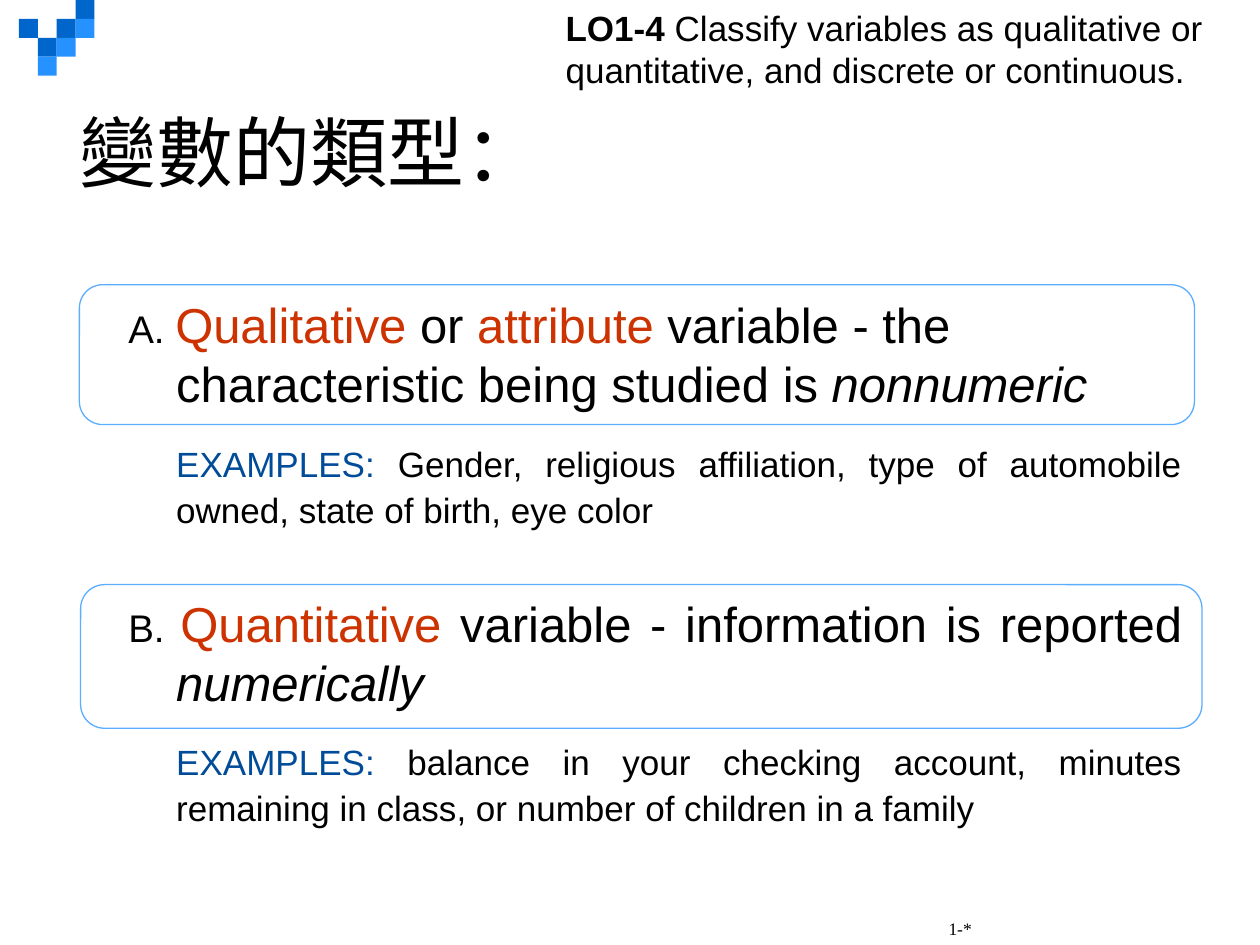
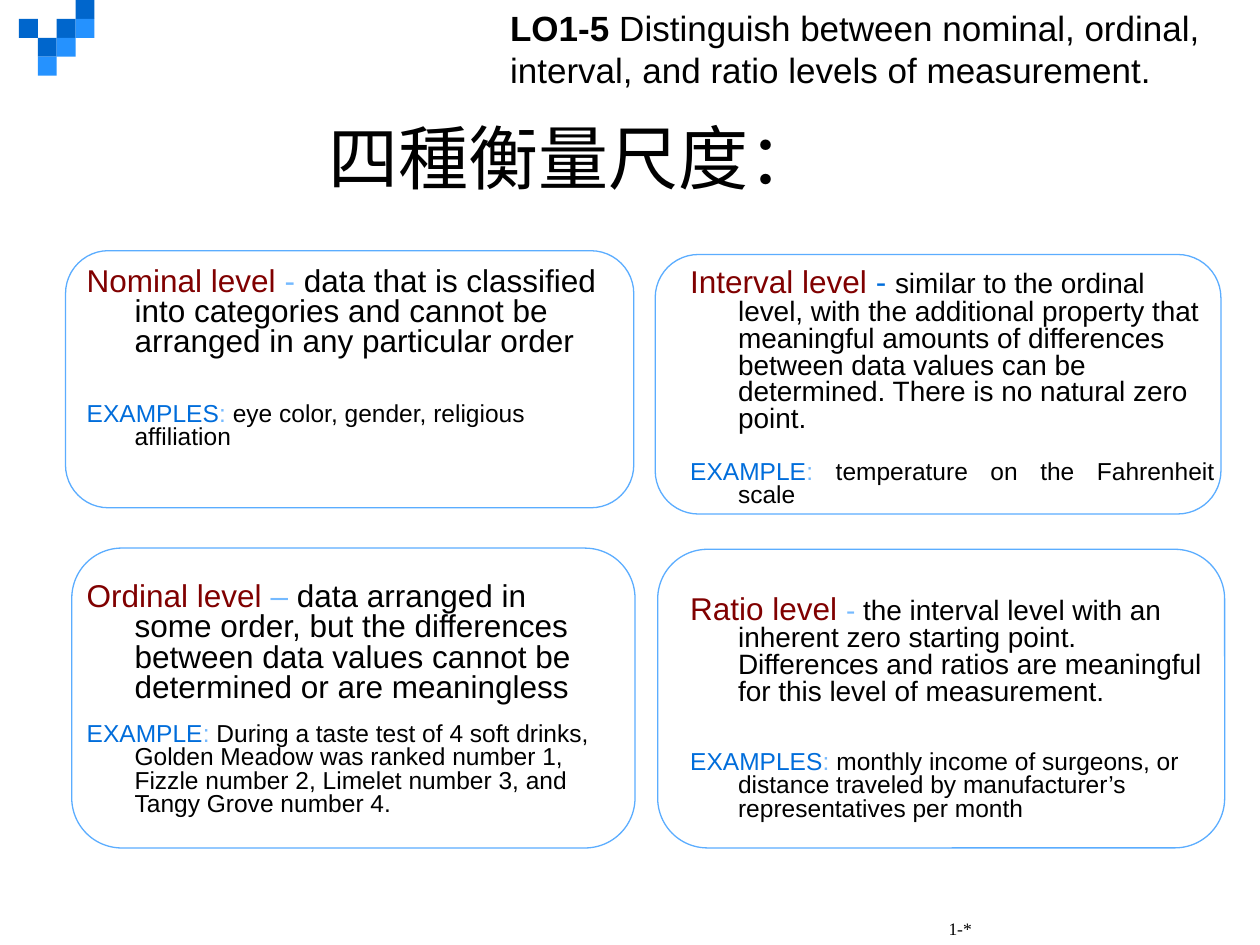
from dataclasses import dataclass

from pptx import Presentation
from pptx.dml.color import RGBColor
from pptx.enum.shapes import MSO_SHAPE as Shape
from pptx.enum.text import MSO_ANCHOR as Anchor, PP_ALIGN as Align
from pptx.util import Inches, Pt

BLACK = RGBColor(0x00, 0x00, 0x00)
WHITE = RGBColor(0xFF, 0xFF, 0xFF)
DARK_BLUE = RGBColor(0x00, 0x66, 0xCC)
BRIGHT_BLUE = RGBColor(0x25, 0x92, 0xFF)
OUTLINE_BLUE = RGBColor(0x5B, 0xAD, 0xFF)
PALE_BLUE = RGBColor(0x75, 0xBA, 0xFF)
EXAMPLE_BLUE = RGBColor(0x00, 0x6D, 0xDB)
NAVY = RGBColor(0x00, 0x4C, 0x99)
ORANGE = RGBColor(0xCC, 0x33, 0x00)
MAROON = RGBColor(0x80, 0x00, 0x00)

BODY_FONT = "Arial"
FOOTER_FONT = "Times New Roman"
TILE = 0.15
HANG = 0.38


@dataclass(frozen=True)
class Area:
    left: float
    top: float
    width: float
    height: float

    def lengths(self) -> list:
        return [Inches(n) for n in (self.left, self.top, self.width, self.height)]


@dataclass(frozen=True)
class Span:
    text: str
    size: float
    color: RGBColor = BLACK
    bold: bool = False
    italic: bool = False
    font: str = BODY_FONT


@dataclass(frozen=True)
class Para:
    spans: list[Span]
    before: float = 0
    spacing: float = 1.0
    align: Align = Align.LEFT
    margin: float = 0
    indent: float = 0


@dataclass(frozen=True)
class Tile:
    column: int
    row: int
    color: RGBColor


TILES = [
    Tile(2, 1, DARK_BLUE), Tile(3, 0, DARK_BLUE), Tile(3, 1, BRIGHT_BLUE),
    Tile(1, 2, DARK_BLUE), Tile(0, 1, DARK_BLUE), Tile(2, 2, BRIGHT_BLUE),
    Tile(1, 3, BRIGHT_BLUE),
]


def apply(target, values: dict) -> None:
    for name, value in values.items():
        setattr(target, name, value)


def fill_text(frame, paras: list[Para], anchor: Anchor = Anchor.TOP) -> None:
    apply(frame, {"word_wrap": True, "vertical_anchor": anchor})
    for number, item in enumerate(paras):
        para = frame.add_paragraph() if number else frame.paragraphs[0]
        properties = para._p.get_or_add_pPr()
        properties.set("marL", str(Inches(item.margin)))
        properties.set("indent", str(Inches(item.indent)))
        apply(para, {"alignment": item.align, "line_spacing": item.spacing,
                     "space_before": Pt(item.before)})
        for span in item.spans:
            run = para.add_run()
            run.text = span.text
            apply(run.font, {"name": span.font, "size": Pt(span.size),
                             "bold": span.bold, "italic": span.italic})
            run.font.color.rgb = span.color


def add_text(page, area: Area, paras: list[Para], anchor: Anchor = Anchor.TOP) -> None:
    box = page.shapes.add_textbox(*area.lengths())
    fill_text(box.text_frame, paras, anchor)


def add_box(page, kind: Shape, area: Area, color: RGBColor):
    box = page.shapes.add_shape(kind, *area.lengths())
    box.shadow.inherit = False
    box.fill.solid()
    box.fill.fore_color.rgb = color
    box.line.fill.background()
    return box


def add_frame(page, area: Area) -> None:
    box = add_box(page, Shape.ROUNDED_RECTANGLE, area, WHITE)
    box.line.color.rgb = OUTLINE_BLUE
    box.line.width = Pt(0.75)


def add_objective(page, left: float, code: str, goal: str) -> None:
    box = add_box(page, Shape.RECTANGLE, Area(left, 0, 10 - left, 0.77), WHITE)
    fill_text(box.text_frame, [Para([Span(code, 20, bold=True), Span(goal, 20)])])


def add_page(deck, frames: list[Area]):
    page = deck.slides.add_slide(deck.slide_layouts[6])
    for tile in TILES:
        place = Area(TILE * (tile.column + 1), TILE * tile.row, TILE, TILE)
        add_box(page, Shape.RECTANGLE, place, tile.color)
    number = Para([Span("1-*", 10, font=FOOTER_FONT)])
    add_text(page, Area(7.43, 7.12, 2.4, 0.38), [number], Anchor.BOTTOM)
    for area in frames:
        add_frame(page, area)
    return page


def variable_para(spans: list[Span], before: float = 0, align: Align = Align.LEFT) -> Para:
    return Para(spans, before, align=align, margin=HANG, indent=-HANG)


def variable_example(label: str, text: str) -> Para:
    return Para([Span(label, 20, NAVY), Span(text, 20)], 14.5, 1.1,
                Align.JUSTIFY, HANG)


def level_para(spans: list[Span], before: float = 0, align: Align = Align.LEFT) -> Para:
    return Para(spans, before, 0.8, align, HANG, -HANG)


def level(name: str, dash: Span, text: str, size: float, before: float = 0) -> Para:
    return level_para([Span(name, 18, MAROON), dash, Span(text, size)], before)


def level_example(label: str, text: str, before: float, align: Align = Align.LEFT) -> Para:
    spans = [Span(label, 14, EXAMPLE_BLUE), Span(":", 14, PALE_BLUE), Span(text, 14)]
    return level_para(spans, before, align)


def build_variable_types(deck) -> None:
    page = add_page(deck, [Area(0.64, 4.64, 8.9, 1.14), Area(0.63, 2.26, 8.85, 1.11)])
    add_text(page, Area(0.53, 0.45, 9, 1.5),
             [Para([Span("變數的類型：", 44)])], Anchor.MIDDLE)
    add_text(page, Area(0.92, 2.29, 8.56, 4.78), [
        variable_para([
            Span("A. ", 22), Span("Qualitative", 28, ORANGE), Span(" or ", 28),
            Span("attribute", 28, ORANGE),
            Span(" variable - the characteristic being studied is ", 28),
            Span("nonnumeric", 28, italic=True),
        ]),
        variable_example("EXAMPLES:", " Gender, religious affiliation, type of "
                         "automobile owned, state of birth, eye color"),
        variable_para([
            Span("B. ", 22), Span("Quantitative", 28, ORANGE),
            Span(" variable - information is reported ", 28),
            Span("numerically", 28, italic=True),
        ], 36, Align.JUSTIFY),
        variable_example("EXAMPLES: ", "balance in your checking account, minutes "
                         "remaining in class, or number of children in a family"),
    ])
    add_objective(page, 4.39, "LO1-4", " Classify variables as qualitative or "
                  "quantitative, and discrete or continuous.")


def build_measurement_levels(deck) -> None:
    page = add_page(deck, [
        Area(5.22, 4.36, 4.5, 2.37), Area(5.2, 2.02, 4.49, 2.06),
        Area(0.57, 4.35, 4.47, 2.38), Area(0.52, 1.99, 4.51, 2.04),
    ])
    add_text(page, Area(0.5, 0.49, 8.1, 1.5),
             [Para([Span("四種衡量尺度：", 40)], align=Align.CENTER)], Anchor.MIDDLE)
    add_text(page, Area(0.59, 2.08, 4.36, 4.75), [
        level("Nominal level ", Span("- ", 18, PALE_BLUE),
              "data that is classified into categories and cannot be arranged "
              "in any particular order", 18),
        level_example("EXAMPLES", " eye color, gender, religious affiliation", 25.3),
        level("Ordinal level ", Span("– ", 18, PALE_BLUE),
              "data arranged in some order, but the differences between data "
              "values cannot be determined or are meaningless", 18, 76),
        level_example("EXAMPLE", " During a taste test of 4 soft drinks, Golden "
                      "Meadow was ranked number 1, Fizzle number 2, Limelet "
                      "number 3, and Tangy Grove number 4.", 10.8),
    ])
    add_text(page, Area(5.38, 2.09, 4.36, 4.76), [
        level("Interval level ", Span("- ", 18, EXAMPLE_BLUE),
              "similar to the ordinal level, with the additional property that "
              "meaningful amounts of differences between data values can be "
              "determined. There is no natural zero point.", 16),
        level_example("EXAMPLE", " temperature on the Fahrenheit scale", 15.6,
                      Align.JUSTIFY),
        level("Ratio level ", Span("- ", 16, PALE_BLUE),
              "the interval level with an inherent zero starting point. "
              "Differences and ratios are meaningful for this level of "
              "measurement.", 16, 50),
        level_example("EXAMPLES", " monthly income of surgeons, or distance traveled "
                      "by manufacturer’s representatives per month", 25.3),
    ])
    add_objective(page, 3.95, "LO1-5 ", "Distinguish between nominal, ordinal, "
                  "interval, and ratio levels of measurement.")


def main() -> None:
    deck = Presentation()
    apply(deck, {"slide_width": Inches(10), "slide_height": Inches(7.5)})
    build_variable_types(deck)
    build_measurement_levels(deck)
    deck.save("out.pptx")


if __name__ == "__main__":
    main()
